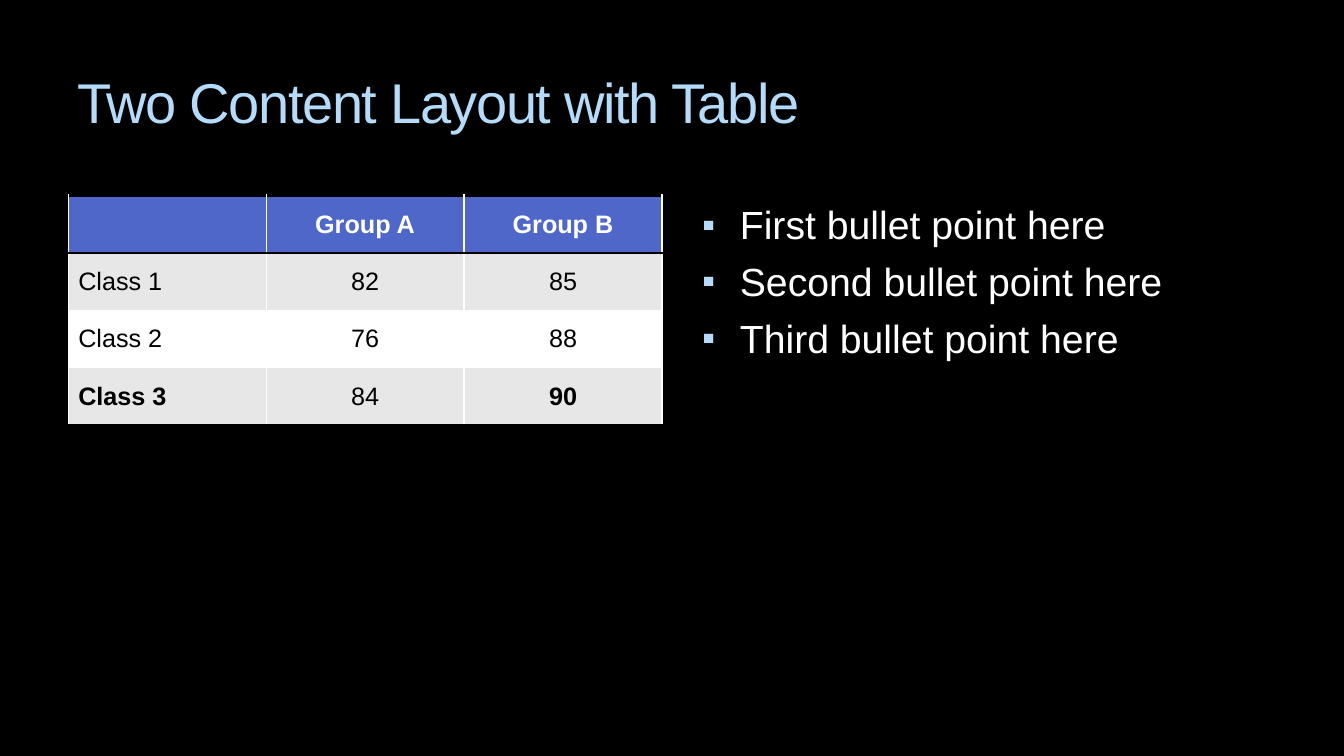
from lxml.etree import SubElement
from pptx import Presentation
from pptx.dml.color import RGBColor
from pptx.enum.text import MSO_ANCHOR as Anchor, MSO_AUTO_SIZE as AutoSize, PP_ALIGN as Align
from pptx.oxml.ns import qn
from pptx.util import Pt

BLACK = RGBColor(0x00, 0x00, 0x00)
WHITE = RGBColor(0xFF, 0xFF, 0xFF)
SKY = RGBColor(0xB4, 0xDC, 0xFA)
BLUE = RGBColor(0x4E, 0x67, 0xC8)
GREY = RGBColor(0xE7, 0xE7, 0xE7)
FONT = "Arial"

CONTENT_TOP = 139.8
CONTENT_WIDTH = 424.2
ROW_HEIGHT = 41
SCORES = [
    ["", "Group A", "Group B"],
    ["Class 1", "82", "85"],
    ["Class 2", "76", "88"],
    ["Class 3", "84", "90"],
]
BOLD_SCORES = {"Class 3", "90"}
BULLETS = ["First bullet point here", "Second bullet point here", "Third bullet point here"]


def format_runs(paragraph, size, color, bold=False):
    for run in paragraph.runs:
        run.font.name = FONT
        run.font.size = Pt(size)
        run.font.bold = bold
        run.font.color.rgb = color


def add_title(slide, text):
    title = slide.shapes.title
    title.left, title.top, title.width, title.height = Pt(48), Pt(40.5), Pt(864), Pt(72)
    text_frame = title.text_frame
    text_frame.text = text
    text_frame.auto_size = AutoSize.NONE
    text_frame.vertical_anchor = Anchor.TOP
    text_frame.margin_top = Pt(8)
    paragraph = text_frame.paragraphs[0]
    paragraph.alignment = Align.LEFT
    format_runs(paragraph, 40, SKY)
    # Tighten the letter spacing by one point
    paragraph.runs[0].font._element.set("spc", "-100")


def add_border(cell, side):
    line = SubElement(cell._tc.get_or_add_tcPr(), qn(f"a:{side}"), w=str(Pt(2)))
    fill = SubElement(line, qn("a:solidFill"))
    SubElement(fill, qn("a:srgbClr"), val=str(BLACK))


def add_score_table(slide):
    row_count, column_count = len(SCORES), len(SCORES[0])
    table = slide.shapes.add_table(
        row_count, column_count, Pt(48.7), Pt(CONTENT_TOP),
        Pt(CONTENT_WIDTH), Pt(ROW_HEIGHT * row_count)).table
    for row_index, values in enumerate(SCORES):
        is_header = row_index == 0
        for column_index, value in enumerate(values):
            cell = table.cell(row_index, column_index)
            cell.text = value
            cell.vertical_anchor = Anchor.MIDDLE
            paragraph = cell.text_frame.paragraphs[0]
            paragraph.alignment = Align.CENTER if column_index else Align.LEFT
            format_runs(paragraph, 18, WHITE if is_header else BLACK,
                        is_header or value in BOLD_SCORES)
            # Borders come before the fill in the cell properties
            if is_header:
                add_border(cell, "lnT")
            if row_index in (0, row_count - 1):
                add_border(cell, "lnB")
            cell.fill.solid()
            cell.fill.fore_color.rgb = BLUE if is_header else (WHITE, GREY)[row_index % 2]


def add_bullet(paragraph):
    properties = paragraph._p.get_or_add_pPr()
    properties.set("marL", str(Pt(32.4)))
    properties.set("indent", str(-Pt(27)))
    color = SubElement(properties, qn("a:buClr"))
    SubElement(color, qn("a:srgbClr"), val=str(SKY))
    SubElement(properties, qn("a:buSzPct"), val="95000")
    SubElement(properties, qn("a:buFont"), typeface=FONT)
    SubElement(properties, qn("a:buChar"), char="▪")


def add_bullet_list(slide, items):
    box = slide.shapes.add_textbox(Pt(489), Pt(CONTENT_TOP), Pt(CONTENT_WIDTH), Pt(356.4))
    text_frame = box.text_frame
    text_frame.word_wrap = True
    text_frame.text = "\n".join(items)
    for paragraph in text_frame.paragraphs:
        paragraph.space_before = Pt(7)
        add_bullet(paragraph)
        format_runs(paragraph, 28, WHITE)


def main():
    presentation = Presentation()
    presentation.slide_width, presentation.slide_height = Pt(960), Pt(540)
    slide = presentation.slides.add_slide(presentation.slide_layouts[5])
    slide.background.fill.solid()
    slide.background.fill.fore_color.rgb = BLACK

    add_bullet_list(slide, BULLETS)
    add_score_table(slide)
    add_title(slide, "Two Content Layout with Table")
    presentation.save("out.pptx")


if __name__ == "__main__":
    main()
